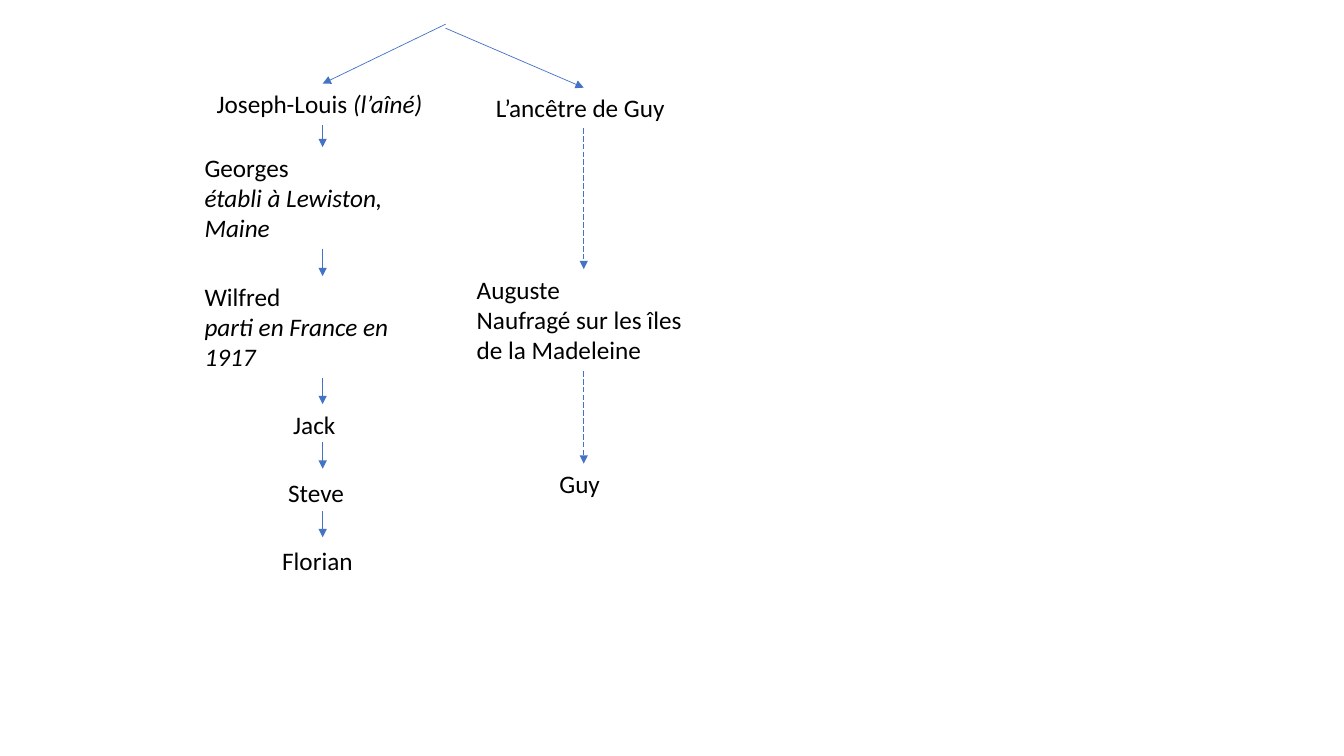
from lxml.etree import SubElement
from pptx import Presentation
from pptx.dml.color import RGBColor
from pptx.enum.dml import MSO_LINE
from pptx.enum.shapes import MSO_CONNECTOR
from pptx.enum.text import MSO_AUTO_SIZE
from pptx.oxml.ns import qn
from pptx.util import Inches, Pt

BLACK = RGBColor(0x00, 0x00, 0x00)
BLUE = RGBColor(0x44, 0x72, 0xC4)
ELDER_X, GUY_X = 3.2, 5.79  # arrow axes of the two branches

prs = Presentation()
prs.slide_width, prs.slide_height = Inches(13.33), Inches(7.5)
s = prs.slides.add_slide(prs.slide_layouts[6])


def add_person(left, top, width, height, paragraphs):
    """Add a text box; each paragraph is a list of (text, italic), "\\n" being a line break."""
    sp = s.shapes.add_textbox(Inches(left), Inches(top), Inches(width), Inches(height))
    tf = sp.text_frame
    tf.word_wrap = True
    tf.auto_size = MSO_AUTO_SIZE.SHAPE_TO_FIT_TEXT
    for i, runs in enumerate(paragraphs):
        p = tf.paragraphs[0] if i == 0 else tf.add_paragraph()
        p.font.name, p.font.size = "Calibri", Pt(18)
        p.font.color.rgb = BLACK
        for text, italic in runs:
            if text == "\n":
                p.add_line_break()
                continue
            r = p.add_run()
            r.text = text
            if italic:
                r.font.italic = True


def add_arrow(x1, y1, x2, y2, dashed=False):
    """Add a thin blue arrow pointing at (x2, y2)."""
    sp = s.shapes.add_connector(MSO_CONNECTOR.STRAIGHT, Inches(x1), Inches(y1),
                                Inches(x2), Inches(y2))
    sp.line.color.rgb = BLUE
    sp.line.width = Pt(0.5)
    if dashed:
        sp.line.dash_style = MSO_LINE.LONG_DASH
    SubElement(sp.line._get_or_add_ln(), qn("a:tailEnd"), type="triangle")
    SubElement(sp._element.spPr, qn("a:effectLst"))


people = [
    (2.05, 0.83, 2.31, 0.4, [[("Joseph-Louis ", False), ("(l’aîné)", True)]]),
    (1.93, 1.46, 2.55, 1.01,
     [[("Georges", False), ("\n", False), ("établi à Lewiston, Maine", True)]]),
    (1.93, 2.74, 2.55, 1.01,
     [[("Wilfred", False), ("\n", False), ("parti en France en 1917", True)]]),
    (2.81, 4.01, 0.8, 0.4, [[("Jack", False)]]),
    (2.76, 4.69, 0.89, 0.4, [[("Steve", False)]]),
    (2.7, 5.36, 1.01, 0.4, [[("Florian", False)]]),
    (4.82, 0.87, 1.93, 0.4, [[("L’ancêtre de Guy", False)]]),
    (4.63, 2.67, 2.31, 1.01,
     [[("Auguste", False)], [("Naufragé sur les îles de la Madeleine", False)]]),
    (5.45, 4.6, 0.67, 0.4, [[("Guy", False)]]),
]
for person in people:
    add_person(*person)

# Common ancestor to both branches
add_arrow(4.42, 0.24, ELDER_X, 0.83)
add_arrow(4.42, 0.28, GUY_X, 0.87)

# Descent within each branch
for top, bottom in [(1.24, 1.46), (2.47, 2.74), (3.75, 4.01), (4.39, 4.65), (5.07, 5.33)]:
    add_arrow(ELDER_X, top, ELDER_X, bottom)
for top, bottom in [(1.27, 2.67), (3.68, 4.6)]:
    add_arrow(GUY_X, top, GUY_X, bottom, dashed=True)

prs.save("out.pptx")
